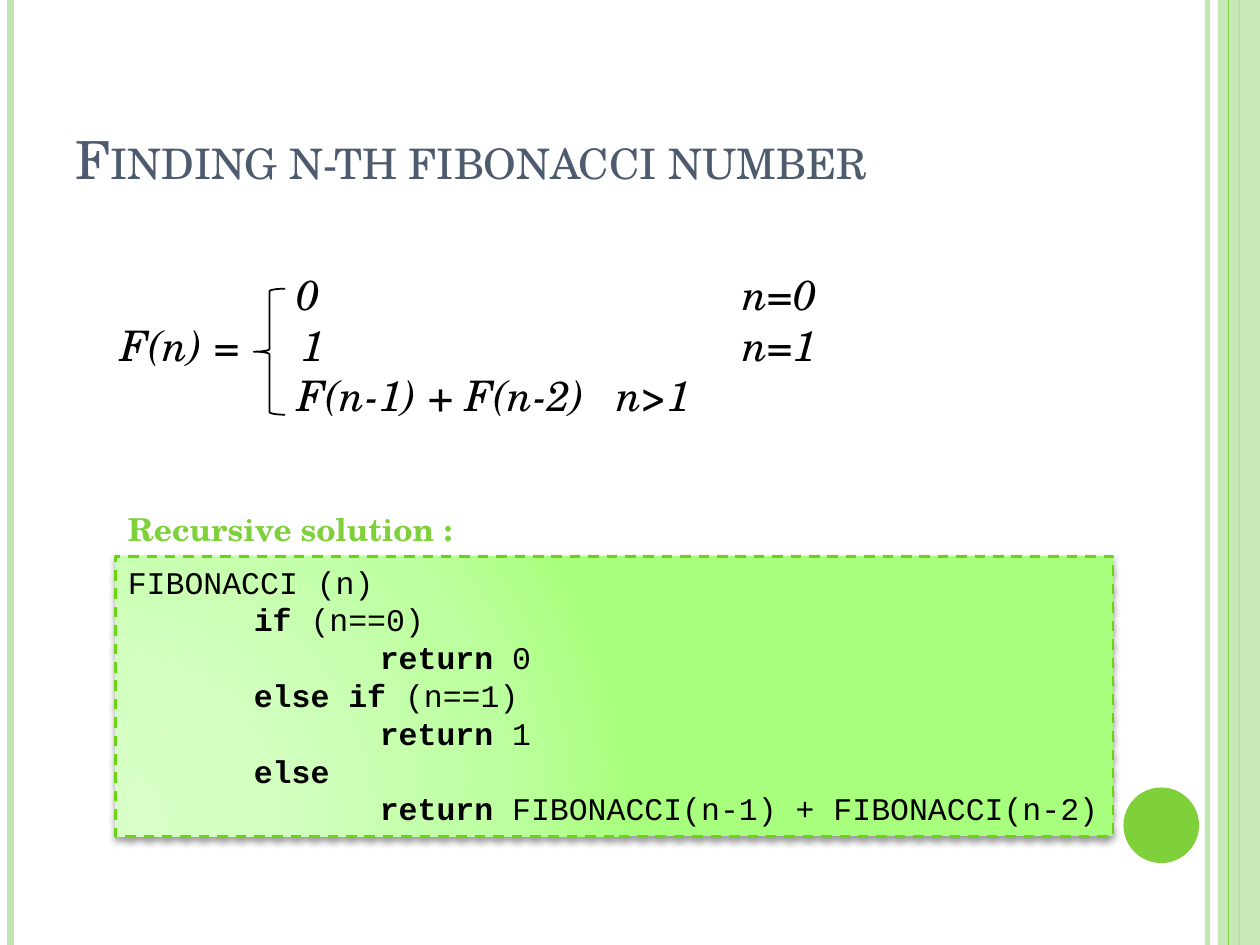
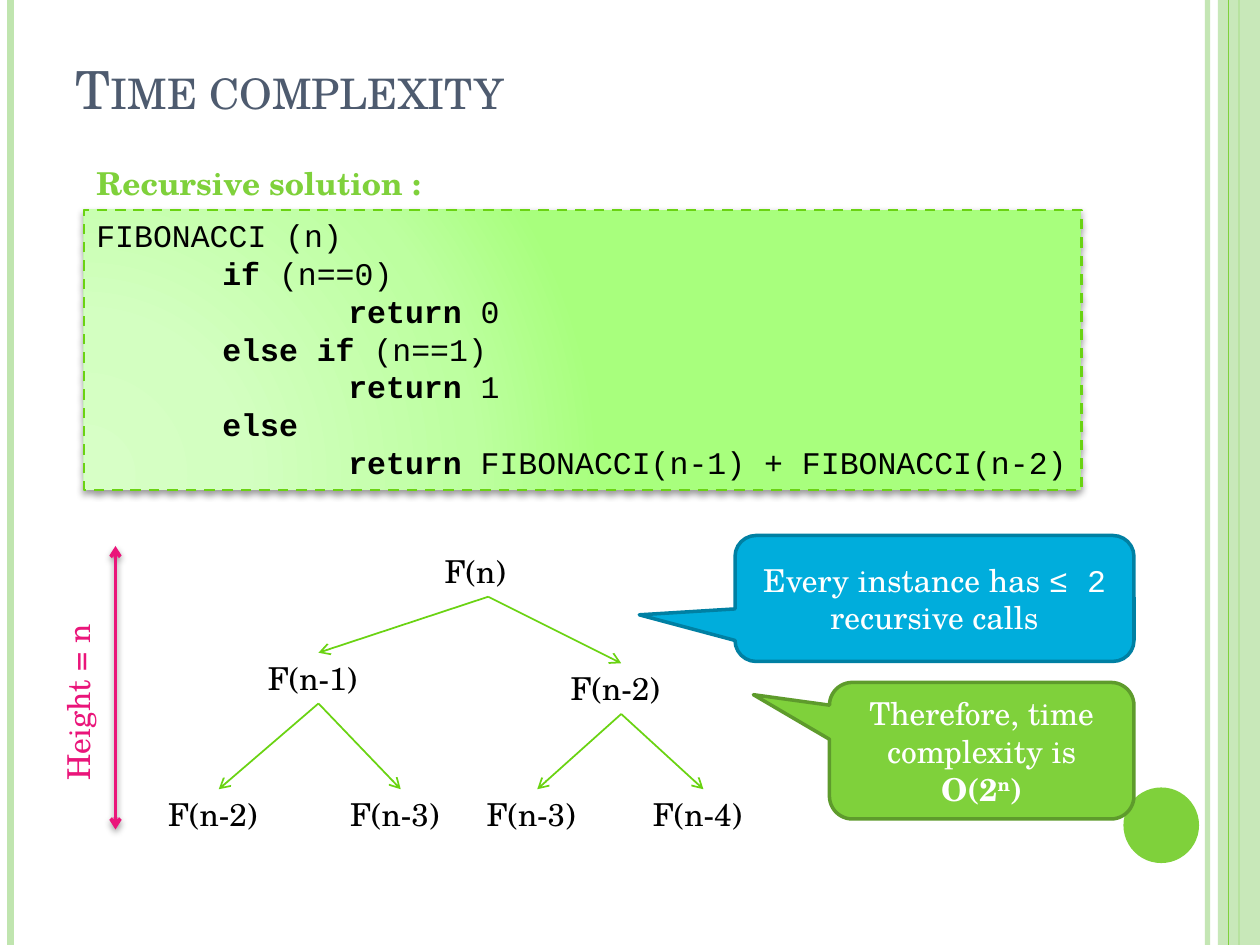
from lxml.etree import SubElement
from pptx import Presentation
from pptx.dml.color import RGBColor
from pptx.enum.dml import MSO_LINE
from pptx.enum.shapes import MSO_CONNECTOR, MSO_SHAPE
from pptx.enum.text import MSO_ANCHOR, MSO_AUTO_SIZE, PP_ALIGN
from pptx.oxml import parse_xml
from pptx.oxml.ns import nsdecls, qn
from pptx.util import Pt

SERIF, MONO = "TeX Gyre Schola", "Courier New"
BLACK = RGBColor(0x00, 0x00, 0x00)
WHITE = RGBColor(0xFF, 0xFF, 0xFF)
SLATE = RGBColor(0x4E, 0x5B, 0x6F)
GREEN = RGBColor(0x7F, 0xD1, 0x3B)
PALE = RGBColor(0xC0, 0xE5, 0xAF)
LEAF = RGBColor(0x6A, 0xD3, 0x12)
MOSS = RGBColor(0x5E, 0x9B, 0x2C)
BLUE = RGBColor(0x00, 0xAD, 0xDC)
NAVY = RGBColor(0x00, 0x80, 0xA3)
PINK = RGBColor(0xEA, 0x15, 0x7A)
GLOW = ((0, RGBColor(0xD7, 0xFF, 0xC6)), (30, RGBColor(0xD3, 0xFF, 0xC1)),
        (75, RGBColor(0xBD, 0xFF, 0xA0)), (100, RGBColor(0xA8, 0xFF, 0x7D)))

# Indent level, keyword, rest of the line
CODE = ((0, "", "FIBONACCI (n)"), (1, "if", " (n==0)"), (2, "return", " 0"),
        (1, "else if", " (n==1)"), (2, "return", " 1"), (1, "else", ""),
        (2, "return", " FIBONACCI(n-1) + FIBONACCI(n-2)"))

# Indent and text of each line of the formula
VALUES = ((126, "0"), (129, "1"), (127, "F(n-1) + F(n-2)"))
TESTS = ((72, "n=0"), (72, "n=1"), (0, "n>1"))

# Label, left, top, half width, children
CALLS = ("F(n)", 159, 0, 32, (
    ("F(n-1)", 58, 61, 36, (("F(n-2)", 1, 139, 36, ()),
                            ("F(n-3)", 105, 139, 36, ()))),
    ("F(n-2)", 231, 67, 36, (("F(n-3)", 183, 139, 36, ()),
                             ("F(n-4)", 278, 139, 36, ())))))
ROW = 29  # height of a one-line label


def put(para, text, color, size=18, font=SERIF, bold=False, italic=False):
    run = para.add_run()
    run.text = text
    run.font.name, run.font.size = font, Pt(size)
    run.font.bold, run.font.italic = bold, italic
    run.font.color.rgb = color
    return run


def fade(shape, percent):
    for tone in shape.element.spPr.iter(qn("a:srgbClr")):
        SubElement(tone, qn("a:alpha"), val=str(percent * 1000))


def shade(effects):
    """Soft shadow just below the shape."""
    effects.append(parse_xml(
        f'<a:outerShdw {nsdecls("a")} blurRad="{Pt(4)}" dist="{Pt(2)}" '
        f'dir="5400000" rotWithShape="0"><a:srgbClr val="{BLACK}">'
        '<a:alpha val="40000"/></a:srgbClr></a:outerShdw>'))


def stroke(slide, start, end, color, width, ends=()):
    line = slide.shapes.add_connector(
        MSO_CONNECTOR.STRAIGHT, *map(Pt, start), *map(Pt, end))
    line.line.color.rgb, line.line.width = color, Pt(width)
    for tip in ends:
        SubElement(line.line._get_or_add_ln(), qn(f"a:{tip}"), type="arrow")
    SubElement(line.element.spPr, qn("a:effectLst"))
    return line


def block(slide, kind, box, fill=None, edge=None, width=1):
    shape = slide.shapes.add_shape(kind, *map(Pt, box))
    shape.shadow.inherit = False
    if fill is None:
        shape.fill.background()
    else:
        shape.fill.solid()
        shape.fill.fore_color.rgb = fill
    if edge is None:
        shape.line.fill.background()
    else:
        shape.line.color.rgb, shape.line.width = edge, Pt(width)
    return shape


def text_box(slide, box):
    area = slide.shapes.add_textbox(*map(Pt, box))
    area.text_frame.word_wrap = True
    return area


def label(slide, box, text, color, bold=False):
    area = text_box(slide, box)
    put(area.text_frame.paragraphs[0], text, color, bold=bold)
    return area


def place(holder, box):
    holder.left, holder.top, holder.width, holder.height = map(Pt, box)
    holder.text_frame.auto_size = MSO_AUTO_SIZE.NONE


def title(slide, box, text):
    head = slide.shapes.title
    place(head, box)
    head.text_frame.vertical_anchor = MSO_ANCHOR.BOTTOM
    para = head.text_frame.paragraphs[0]
    para.alignment = PP_ALIGN.LEFT
    run = put(para, text, SLATE, 30)
    run.font._element.set("cap", "small")


def frame(slide, master):
    """Draw the side bands and the disc, then hand them to the master."""
    def rule(x, color, width):
        return stroke(slide, (x, 0), (x, 540), color, width)

    right = rule(690, PALE, 3)
    fade(right, 93)
    left = rule(6, PALE, 4.5)
    outer = rule(708, GREEN, 1.5)
    band = block(slide, MSO_SHAPE.RECTANGLE, (696, 0, 24, 540), PALE)
    fade(band, 87)
    inner = rule(702, GREEN, 0.75)
    disc = block(slide, MSO_SHAPE.OVAL, (642, 450, 43.2, 43.2), GREEN)
    tree = master.element.cSld.spTree
    for number, part in enumerate((right, left, outer, band, inner, disc), 100):
        part.element.xpath("./*/p:cNvPr")[0].set("id", str(number))
        tree.append(part.element)


def column(text, lines):
    """Italic lines without bullets, each with its own indent."""
    for index, (inset, words) in enumerate(lines):
        para = text.add_paragraph() if index else text.paragraphs[0]
        para.space_before = Pt(0 if index else 6)
        props = para._p.get_or_add_pPr()
        props.set("marL", str(Pt(inset)))
        props.set("indent", "0")
        SubElement(props, qn("a:buNone"))
        put(para, words, BLACK, 24, italic=True)


def formula(slide, box):
    """Case definition: values in the body, name and tests beside them."""
    left, top, _, tall = box
    body = slide.placeholders[1]
    place(body, box)
    column(body.text_frame, VALUES)
    name = text_box(slide, (left + 26, top + ROW, 90, 42))
    column(name.text_frame, ((0, "F(n) ="),))
    tests = text_box(slide, (left + 309, top, 150, tall))
    column(tests.text_frame, TESTS)
    block(slide, MSO_SHAPE.LEFT_BRACE, (left + 109, top + 15, 18, 72),
          edge=BLACK)


def listing(slide, left, top):
    """Heading with the code panel below it."""
    label(slide, (left, top, 204, ROW), "Recursive solution :", GREEN, True)
    panel = block(slide, MSO_SHAPE.RECTANGLE, (left, top + 30, 570, 160),
                  GREEN, LEAF, 1.5)
    panel.line.dash_style = MSO_LINE.DASH
    props = panel.element.spPr
    stops = "".join(f'<a:gs pos="{at * 1000}"><a:srgbClr val="{tone}"/></a:gs>'
                    for at, tone in GLOW)
    props.replace(props.find(qn("a:solidFill")), parse_xml(
        f'<a:gradFill {nsdecls("a")} rotWithShape="1"><a:gsLst>{stops}</a:gsLst>'
        '<a:path path="circle"><a:fillToRect l="5000" t="100000" r="120000" '
        'b="10000"/></a:path></a:gradFill>'))
    shade(props.find(qn("a:effectLst")))
    text = panel.text_frame
    text.vertical_anchor = MSO_ANCHOR.TOP
    for index, (level, key, rest) in enumerate(CODE):
        para = text.add_paragraph() if index else text.paragraphs[0]
        para.alignment = PP_ALIGN.LEFT
        para._p.get_or_add_pPr().set("marL", str(Pt(72 * level)))
        for part, bold in ((key, True), (rest, False)):
            if part:
                put(para, part, BLACK, font=MONO, bold=bold)


def branch(slide, left, top, node):
    """Draw a call, and below it the calls that it makes."""
    text, x, y, half, kids = node
    label(slide, (left + x, top + y, 2 * half, ROW), text, BLACK)
    for kid in kids:
        stroke(slide, (left + x + half, top + y + ROW),
               (left + kid[1] + kid[3], top + kid[2]), LEAF, 1, ("tailEnd",))
        branch(slide, left, top, kid)


def height(slide, left, top, size):
    """Upright measure with its turned label."""
    arrow = stroke(slide, (left, top), (left, top + size), PINK, 2,
                   ("headEnd", "tailEnd"))
    shade(arrow.element.spPr.find(qn("a:effectLst")))
    wide = 111
    side = label(slide, (left - 21.5 - wide / 2, top + 71, wide, ROW),
                 "Height = n", PINK)
    side.rotation = 270


def bubble(slide, box, tip, fill, edge):
    shape = block(slide, MSO_SHAPE.ROUNDED_RECTANGULAR_CALLOUT, box,
                  fill, edge, 2)
    for index, value in enumerate((*tip, 0.167)):
        shape.adjustments[index] = value
    shape.text_frame.vertical_anchor = MSO_ANCHOR.MIDDLE
    para = shape.text_frame.paragraphs[0]
    para.alignment = PP_ALIGN.CENTER
    return para


def notes(slide, right, top):
    """Two remarks, flush on the right."""
    para = bubble(slide, (right - 228, top, 228, 72), (-0.74, 0.13), BLUE, NAVY)
    put(para, "Every instance has ", WHITE)
    put(para, "≤ 2 ", WHITE, font=MONO)
    put(para, "recursive calls", WHITE)

    para = bubble(slide, (right - 174, top + 84, 174, 78), (-0.75, -0.41),
                  GREEN, MOSS)
    put(para, "Therefore, time complexity is ", WHITE)
    put(para, "O(2", WHITE, bold=True)
    power = put(para, "n", WHITE, bold=True)
    power.font._element.set("baseline", "30000")
    put(para, ")", WHITE, bold=True)


def main():
    deck = Presentation()
    deck.slide_width, deck.slide_height = Pt(720), Pt(540)

    # Definition and code
    first = deck.slides.add_slide(deck.slide_layouts[1])
    frame(first, deck.slide_master)
    title(first, (36, 22, 588, 90), "Finding n-th fibonacci number")
    formula(first, (36, 150, 588, 102))
    listing(first, 66, 288)

    # Cost of the recursion
    second = deck.slides.add_slide(deck.slide_layouts[5])
    title(second, (36, 22, 588, 50), "Time complexity")
    listing(second, 48, 90)
    notes(second, 648, 306)
    branch(second, 88, 312, CALLS)
    height(second, 66, 312, 162)

    deck.save("out.pptx")


if __name__ == "__main__":
    main()
